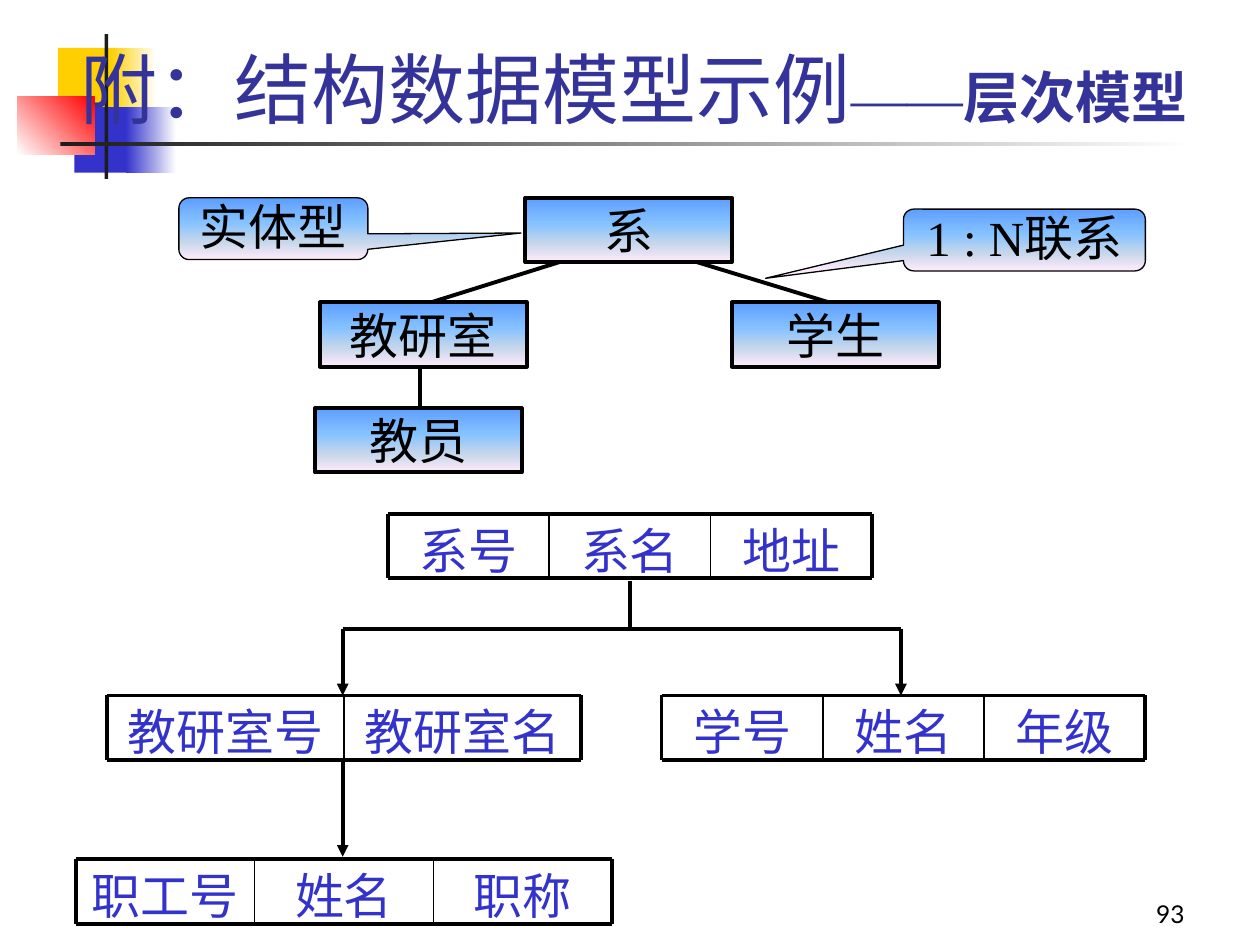
from lxml import etree
from pptx import Presentation
from pptx.dml.color import RGBColor
from pptx.enum.shapes import MSO_CONNECTOR as Link, MSO_SHAPE as Shape
from pptx.enum.text import MSO_ANCHOR as Anchor, PP_ALIGN as Align
from pptx.oxml import parse_xml
from pptx.oxml.ns import nsdecls, qn
from pptx.util import Inches, Pt

color = RGBColor.from_string
CJK = "Noto Sans CJK SC"
SKY = [(0, "5E9EFF"), (40, "85C2FF"), (70, "C4D6EB"), (100, "FFEBFA")]

deck = Presentation()
deck.slide_width, deck.slide_height = Inches(10), Inches(7.5)
slide = deck.slides.add_slide(deck.slide_layouts[6])
shapes = slide.shapes


def text(shape, *runs, align=Align.CENTER, anchor=Anchor.TOP, pad=None, tint="000000"):
    """Fill a shape with runs of (words, size, font, east font, bold)."""
    frame = shape.text_frame
    frame.word_wrap = True
    frame.vertical_anchor = anchor
    if pad is not None:
        frame.margin_left = frame.margin_right = frame.margin_top = 0
        frame.margin_bottom = Inches(pad)
    para = frame.paragraphs[0]
    para.alignment = align
    for words, size, face, east, bold in runs:
        run = para.add_run()
        run.text = words
        run.font.size, run.font.name, run.font.bold = Pt(size), face, bold
        run.font.color.rgb = color(tint)
        etree.SubElement(run._r.get_or_add_rPr(), qn("a:ea")).set("typeface", east)


def block(box, stops, angle=0, kind=Shape.RECTANGLE, edge=None):
    """Draw a shape with a plain fill (hex) or a gradient (list of stops)."""
    shape = shapes.add_shape(kind, *map(Inches, box))
    shape.shadow.inherit = False
    if isinstance(stops, str):
        shape.fill.solid()
        shape.fill.fore_color.rgb = color(stops)
    else:
        marks = "".join(f'<a:gs pos="{pos * 1000}"><a:srgbClr val="{tone}"/></a:gs>'
                        for pos, tone in stops)
        grad = parse_xml(f'<a:gradFill {nsdecls("a")} rotWithShape="1"><a:gsLst>{marks}</a:gsLst>'
                         f'<a:lin ang="{angle * 60000}" scaled="0"/></a:gradFill>')
        shape._element.spPr.find(qn("a:prstGeom")).addnext(grad)
    if edge:
        shape.line.color.rgb = color("000000")
        shape.line.width = Pt(edge)
    else:
        shape.line.fill.background()
    return shape


# Corner ornament and title rule
for box, stops, angle in [
    ((0.46, 0.38, 0.48, 0.52), "FFCF01", 0),
    ((0.88, 0.38, 0.36, 0.52), [(0, "FFCF01"), (100, "FFFFFF")], 0),
    ((0.59, 0.85, 0.46, 0.52), "3333CC", 0),
    ((1, 0.85, 0.4, 0.52), [(0, "3333CC"), (100, "FFFFFF")], 0),
    ((0.14, 0.77, 0.61, 0.46), [(0, "FFFFFF"), (100, "FF0000")], 315),
    ((0.83, 0.27, 0.03, 1.15), "1C1C1C", 0),
    ((0.48, 1.13, 9, 0.03), [(0, "1C1C1C"), (100, "FFFFFF")], 0),
]:
    block(box, stops, angle)

# Page number and title
page = shapes.add_textbox(Inches(7.42), Inches(6.92), Inches(2.08), Inches(0.5))
text(page, ("93", 14, "Lato", CJK, False), align=Align.RIGHT, anchor=Anchor.BOTTOM)
title = shapes.add_textbox(Inches(0.39), Inches(0.18), Inches(9.28), Inches(0.93))
text(title,
     ("附：结构数据模型示例", 44, "Lato", CJK, False),
     ("——", 32, "Times New Roman", "Times New Roman", False),
     ("层次模型", 32, "Lato", CJK, True),
     anchor=Anchor.BOTTOM, tint="333399")

# Lines are (x1, y1, x2, y2, width, arrow); these join the entities and records
lines = [
    (4.44, 2.08, 3.42, 2.4, 2.25, False),
    (5.53, 2.08, 6.58, 2.4, 2.25, False),
    (3.33, 2.9, 3.33, 3.25, 2.25, False),
    (5, 4.61, 5, 4.99, 2.25, False),
    (2.72, 4.99, 7.15, 4.99, 2.25, False),
    (2.72, 4.99, 2.72, 5.52, 2.25, True),
    (7.15, 4.99, 7.15, 5.52, 2.25, True),
    (2.72, 6.05, 2.72, 6.8, 2.25, True),
]

# Records: equal fields, thick frame, thin dividers
high = 0.51
for left, top, wide, names in [
    (3.08, 4.08, 1.28, ["系号", "系名", "地址"]),
    (0.85, 5.52, 1.88, ["教研室号", "教研室名"]),
    (5.25, 5.52, 1.28, ["学号", "姓名", "年级"]),
    (0.6, 6.82, 1.42, ["职工号", "姓名", "职称"]),
]:
    count = len(names)
    right, base = left + count * wide, top + high
    for i, name in enumerate(names):
        field = shapes.add_textbox(Inches(left + i * wide), Inches(top), Inches(wide), Inches(high))
        text(field, (name, 28, "Comic Neue", CJK, False), tint="3333CC")
    lines += [(left, y, right, y, 2.25, False) for y in (top, base)]
    for i in range(count + 1):
        x = left + i * wide
        lines.append((x, top, x, base, 2.25 if i in (0, count) else 1, False))

for x1, y1, x2, y2, width, arrow in lines:
    line = shapes.add_connector(Link.STRAIGHT, *map(Inches, (x1, y1, x2, y2)))
    line.line.color.rgb = color("000000")
    line.line.width = Pt(width)
    if arrow:
        etree.SubElement(line.line._get_or_add_ln(), qn("a:tailEnd")).set("type", "triangle")
    etree.SubElement(line._element.spPr, qn("a:effectLst"))

# Entity boxes
for left, top, name in [(4.17, 1.57, "系"), (2.54, 2.4, "教研室"),
                        (5.81, 2.4, "学生"), (2.5, 3.24, "教员")]:
    node = block((left, top, 1.64, high), SKY, 90, edge=2.25)
    text(node, (name, 28, CJK, CJK, False), anchor=Anchor.MIDDLE, pad=0)

# Callouts
for box, tip, name in [
    ((7.17, 1.66, 1.92, 0.49), (-1.07, 0.62), "1 : N联系"),
    ((1.42, 1.57, 1.5, 0.49), (1.31, 0.07), "实体型"),
]:
    note = block(box, SKY, 90, Shape.ROUNDED_RECTANGULAR_CALLOUT, 0.75)
    note.adjustments[0], note.adjustments[1] = tip
    text(note, (name, 28, "Times New Roman", CJK, False), anchor=Anchor.MIDDLE, pad=0.05)

deck.save("out.pptx")
